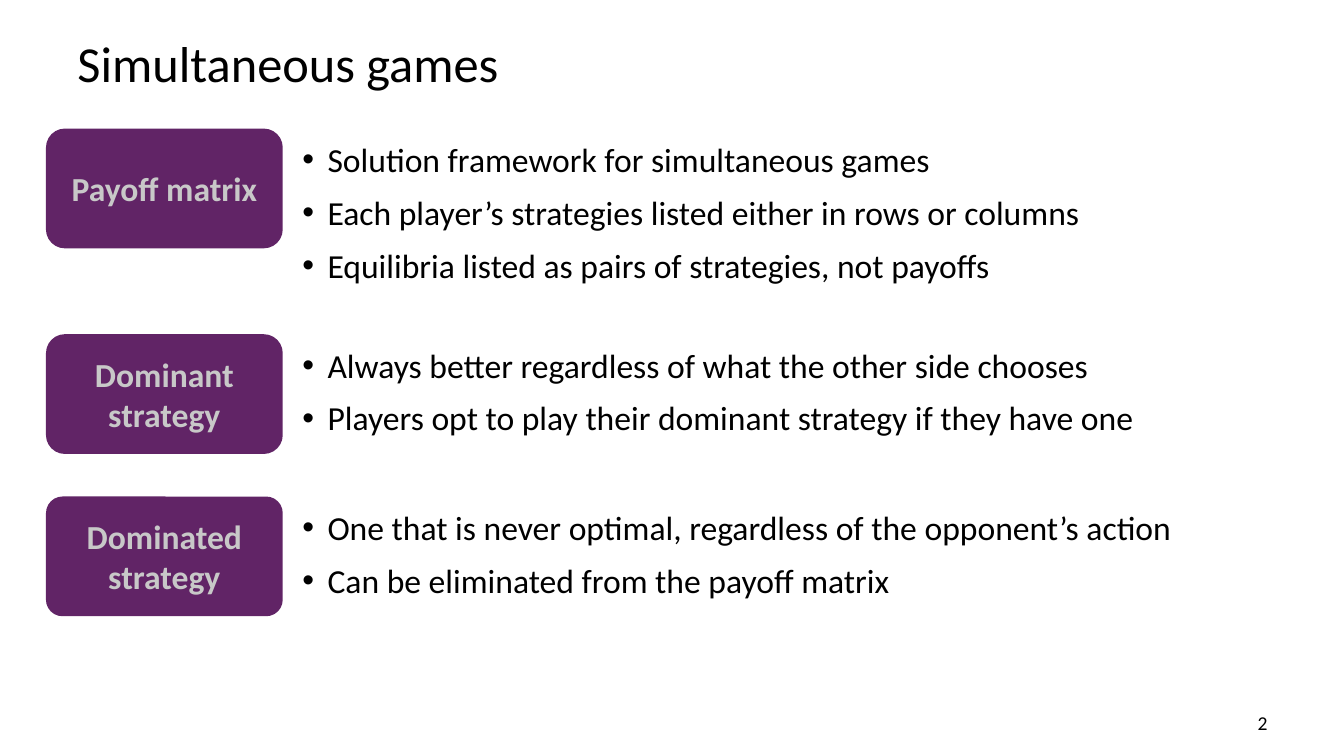
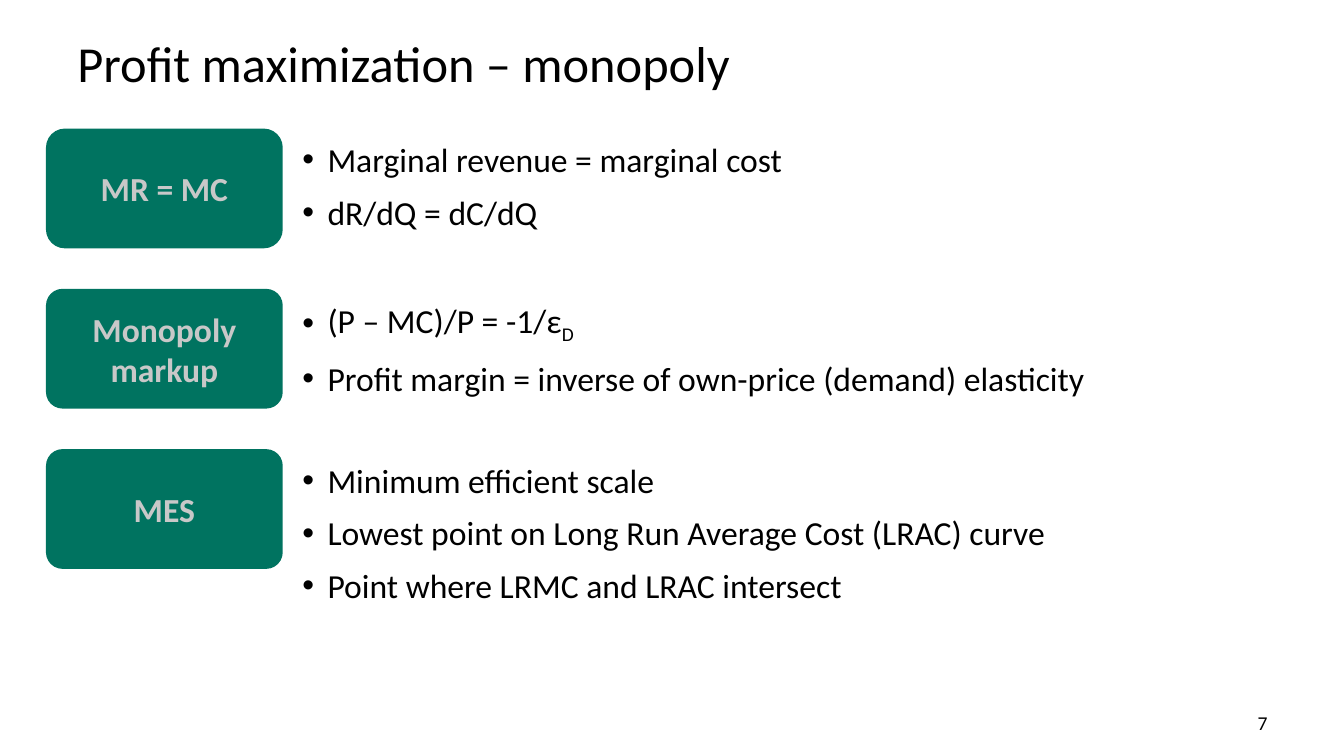
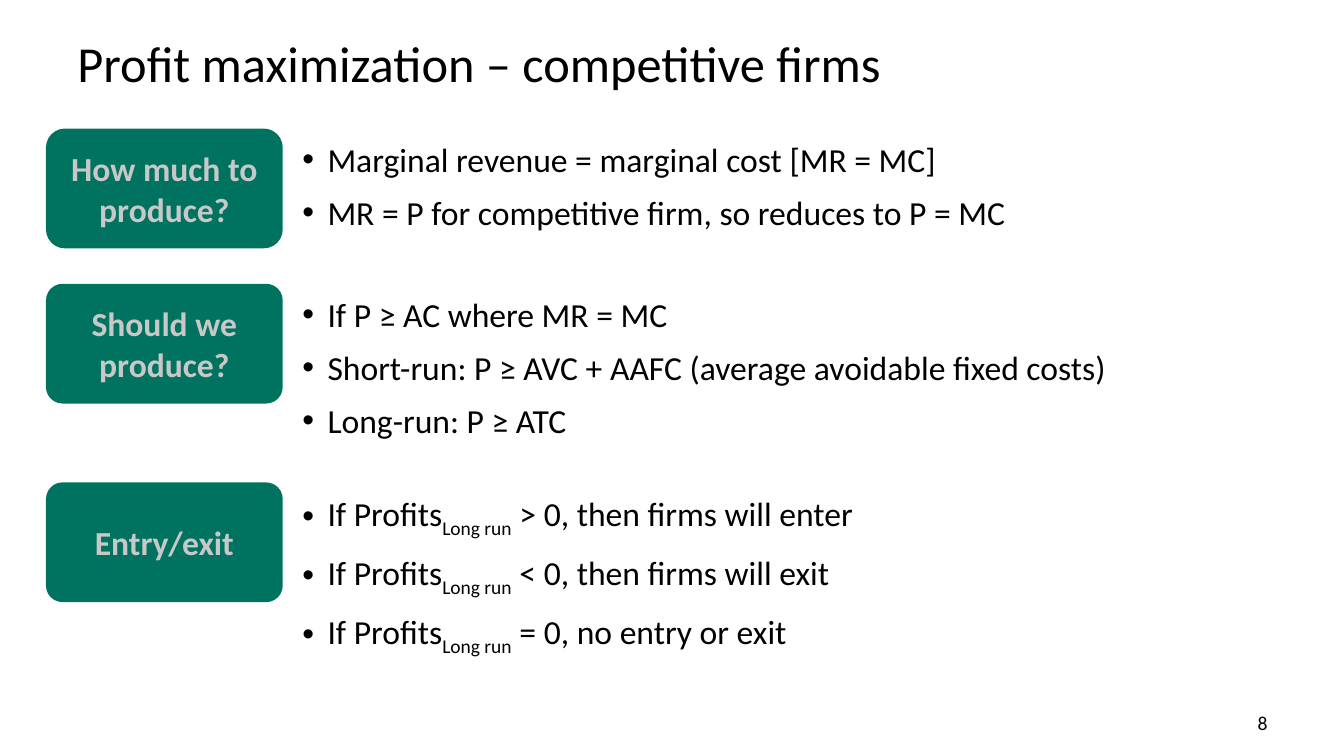
import lxml.etree
import pptx
import pptx.dml.color
import pptx.enum.shapes
import pptx.enum.text
import pptx.oxml.ns
import pptx.util

Inches, Pt = pptx.util.Inches, pptx.util.Pt
ALIGN, ANCHOR = pptx.enum.text.PP_ALIGN, pptx.enum.text.MSO_ANCHOR

COLORS = {"text": "000000", "label": "C8C8C8", "purple": "612466", "green": "007360"}
FORMATS = {
    "title": {"size": Pt(36), "color": "text"},
    "label": {"size": Pt(24), "color": "label", "bold": True},
    "bullet": {"size": Pt(24), "color": "text"},
    "number": {"size": Pt(14), "color": "text"},
}

# Text between vertical bars is set as a subscript.
# "tight" counts the leading labels without side margins; "gap" is in inches.
SLIDES = [
    {"title": "Simultaneous games", "number": 2, "color": "purple", "gap": 0.45, "tight": 2,
     "topics": [
         ("Payoff matrix", [
             "Solution framework for simultaneous games",
             "Each player’s strategies listed either in rows or columns",
             "Equilibria listed as pairs of strategies, not payoffs"]),
         ("Dominant strategy", [
             "Always better regardless of what the other side chooses",
             "Players opt to play their dominant strategy if they have one"]),
         ("Dominated strategy", [
             "One that is never optimal, regardless of the opponent’s action",
             "Can be eliminated from the payoff matrix"]),
     ]},
    {"title": "Profit maximization – monopoly", "number": 7, "color": "green", "gap": 0.43, "tight": 1,
     "topics": [
         ("MR = MC", [
             "Marginal revenue = marginal cost",
             "dR/dQ = dC/dQ"]),
         ("Monopoly markup", [
             "(P – MC)/P = -1/ε|D|",
             "Profit margin = inverse of own-price (demand) elasticity"]),
         ("MES", [
             "Minimum efficient scale",
             "Lowest point on Long Run Average Cost (LRAC) curve",
             "Point where LRMC and LRAC intersect"]),
     ]},
    {"title": "Profit maximization – competitive firms", "number": 8, "color": "green", "gap": 0.38, "tight": 1,
     "topics": [
         ("How much to produce?", [
             "Marginal revenue = marginal cost [MR = MC]",
             "MR = P for competitive firm, so reduces to P = MC"]),
         ("Should we produce?", [
             "If P ≥ AC where MR = MC",
             "Short-run: P ≥ AVC + AAFC (average avoidable fixed costs)",
             "Long-run: P ≥ ATC"]),
         ("Entry/exit", [
             "If Profits|Long run| > 0, then firms will enter",
             "If Profits|Long run| < 0, then firms will exit",
             "If Profits|Long run| = 0, no entry or exit"]),
     ]},
]

FIRST_TOP, LABEL_LEFT, LABEL_WIDTH, LABEL_HEIGHT = 1.29, 0.47, 2.32, 1.16
BULLETS_LEFT, BULLETS_WIDTH, BULLET_PITCH = 2.9, 9.92, 0.53


def rgb(name):
    return pptx.dml.color.RGBColor.from_string(COLORS[name])


def write(paragraph, text, style, align=ALIGN.LEFT):
    paragraph.alignment = align
    for index, part in enumerate(text.split("|")):
        if not part:
            continue
        run = paragraph.add_run()
        run.text = part
        run.font.name = "Calibri"
        for attribute, value in FORMATS[style].items():
            if attribute == "color":
                run.font.color.rgb = rgb(value)
            else:
                setattr(run.font, attribute, value)
        if index % 2:
            run._r.get_or_add_rPr().set("baseline", "-25000")


def add_text_frame(slide, left, top, width, height, anchor=ANCHOR.TOP):
    box = slide.shapes.add_textbox(Inches(left), Inches(top), Inches(width), Inches(height))
    box.text_frame.word_wrap = True
    box.text_frame.vertical_anchor = anchor
    return box.text_frame


def add_bullet_mark(paragraph):
    properties = paragraph._p.get_or_add_pPr()
    properties.set("marL", str(Inches(0.25)))
    properties.set("indent", str(-Inches(0.25)))
    for tag, key, value in (("a:buFont", "typeface", "Arial"), ("a:buChar", "char", "•")):
        lxml.etree.SubElement(properties, pptx.oxml.ns.qn(tag)).set(key, value)


def add_label(slide, text, top, color, tight):
    label = slide.shapes.add_shape(
        pptx.enum.shapes.MSO_SHAPE.ROUNDED_RECTANGLE,
        Inches(LABEL_LEFT), Inches(top), Inches(LABEL_WIDTH), Inches(LABEL_HEIGHT))
    label.adjustments[0] = 0.15 if tight else 0.13
    label.shadow.inherit = False
    label.fill.solid()
    label.fill.fore_color.rgb = label.line.color.rgb = rgb(color)
    label.line.width = Pt(2)
    frame = label.text_frame
    frame.word_wrap = True
    frame.vertical_anchor = ANCHOR.MIDDLE
    if tight:
        frame.margin_left = frame.margin_right = 0
    write(frame.paragraphs[0], text, "label", ALIGN.CENTER)


def add_bullets(slide, bullets, top, height):
    frame = add_text_frame(slide, BULLETS_LEFT, top, BULLETS_WIDTH, height)
    for index, bullet in enumerate(bullets):
        paragraph = frame.add_paragraph() if index else frame.paragraphs[0]
        add_bullet_mark(paragraph)
        paragraph.line_spacing = 1.1
        paragraph.space_after = Pt(6)
        write(paragraph, bullet, "bullet")


def add_topic_slide(deck, content):
    slide = deck.slides.add_slide(deck.slide_layouts[6])
    title = add_text_frame(slide, 0.67, 0.26, 12, 0.71, ANCHOR.MIDDLE)
    write(title.paragraphs[0], content["title"], "title")
    top = FIRST_TOP
    for index, (label, bullets) in enumerate(content["topics"]):
        height = BULLET_PITCH * len(bullets)
        add_label(slide, label, top, content["color"], index < content["tight"])
        add_bullets(slide, bullets, top, height)
        top += max(LABEL_HEIGHT, height) + content["gap"]
    number = add_text_frame(slide, 9.56, 7, 3.11, 0.34)
    write(number.paragraphs[0], str(content["number"]), "number", ALIGN.RIGHT)


def main():
    deck = pptx.Presentation()
    deck.slide_width, deck.slide_height = Inches(13.33), Inches(7.5)
    for content in SLIDES:
        add_topic_slide(deck, content)
    deck.save("out.pptx")


if __name__ == "__main__":
    main()
